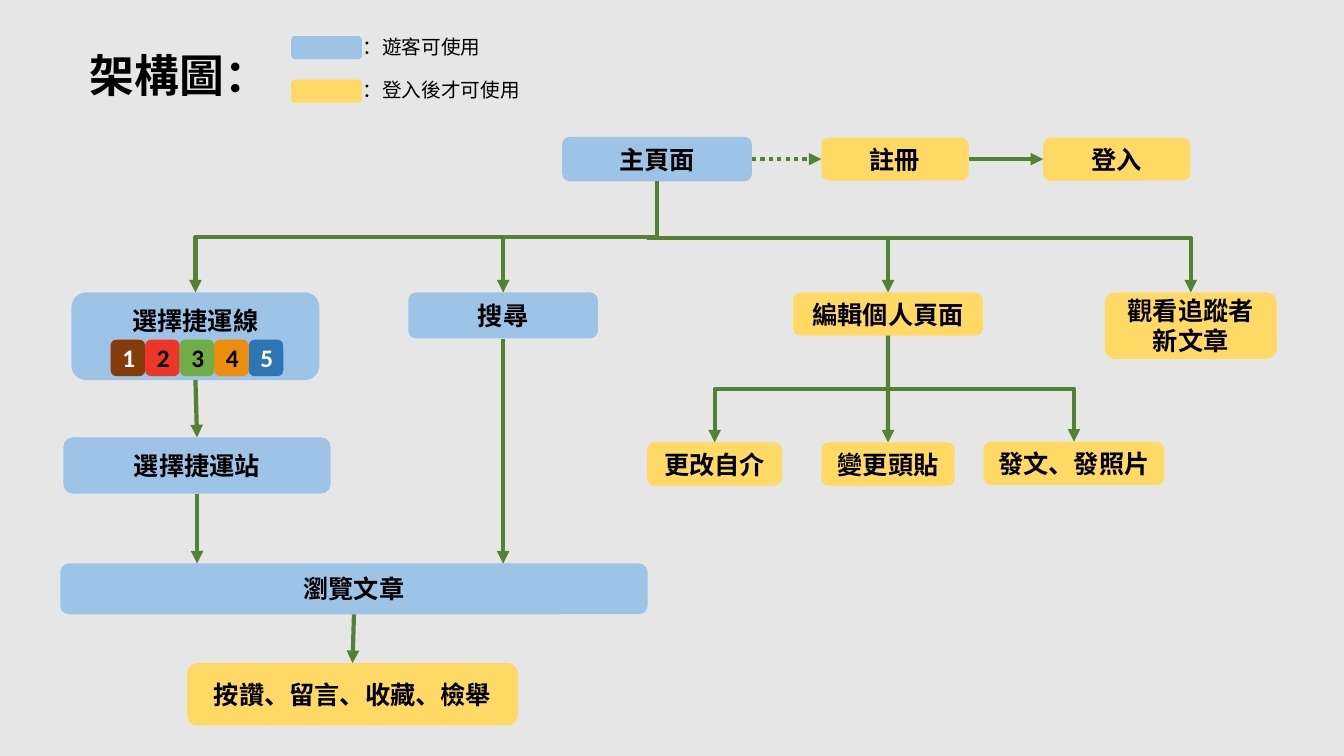
from lxml import etree
from pptx import Presentation
from pptx.dml.color import RGBColor
from pptx.enum.dml import MSO_LINE
from pptx.enum.shapes import MSO_CONNECTOR as Link, MSO_SHAPE as Preset
from pptx.enum.text import MSO_ANCHOR as Anchor, PP_ALIGN as Align
from pptx.oxml.ns import qn
from pptx.util import Cm, Pt

BACKGROUND = RGBColor(0xE7, 0xE6, 0xE6)
VISITOR = RGBColor(0x9D, 0xC3, 0xE6)
MEMBER = RGBColor(0xFF, 0xD9, 0x66)
ARROW = RGBColor(0x54, 0x82, 0x35)
BLACK = RGBColor(0, 0, 0)
WHITE = RGBColor(0xFF, 0xFF, 0xFF)
METRO_LINES = [
    (RGBColor(0x84, 0x3C, 0x0B), WHITE),
    (RGBColor(0xEC, 0x36, 0x28), BLACK),
    (RGBColor(0x70, 0xAD, 0x47), BLACK),
    (RGBColor(0xEC, 0x8D, 0x0E), BLACK),
    (RGBColor(0x2E, 0x75, 0xB6), WHITE),
]
FONT = "Calibri"
TOP, LEFT, BOTTOM, RIGHT = range(4)


def set_font(paragraph, size, bold, color=BLACK):
    font = paragraph.font
    font.name, font.size, font.bold = FONT, Pt(size), bold
    font.color.rgb = color


def add_block(slide, box, fill, text="", color=BLACK, preset=Preset.ROUNDED_RECTANGLE):
    shape = slide.shapes.add_shape(preset, *map(Cm, box))
    shape.shadow.inherit = False
    shape.fill.solid()
    shape.fill.fore_color.rgb = fill
    shape.line.fill.background()
    if text:
        frame = shape.text_frame
        frame.word_wrap = True
        frame.vertical_anchor = Anchor.MIDDLE
        paragraph = frame.paragraphs[0]
        paragraph.text = text
        paragraph.alignment = Align.CENTER
        set_font(paragraph, 18, True, color)
    return shape


def add_label(slide, box, text, size, bold=False):
    frame = slide.shapes.add_textbox(*map(Cm, box)).text_frame
    frame.word_wrap = False
    frame.text = text
    set_font(frame.paragraphs[0], size, bold)


def side_middle(shape, side):
    x = {LEFT: 0, RIGHT: shape.width}.get(side, shape.width // 2)
    y = {TOP: 0, BOTTOM: shape.height}.get(side, shape.height // 2)
    return shape.left + x, shape.top + y


def add_arrow(slide, begin, end, kind=Link.STRAIGHT, begin_side=BOTTOM, end_side=TOP):
    """Each end is a shape, joined at the given side, or an (x, y) point."""
    begin_point = begin if isinstance(begin, tuple) else side_middle(begin, begin_side)
    end_point = end if isinstance(end, tuple) else side_middle(end, end_side)
    connector = slide.shapes.add_connector(kind, *begin_point, *end_point)
    if not isinstance(begin, tuple):
        connector.begin_connect(begin, begin_side)
    if not isinstance(end, tuple):
        connector.end_connect(end, end_side)
    connector.line.color.rgb = ARROW
    connector.line.width = Pt(3)
    properties = connector._element.spPr
    etree.SubElement(properties.find(qn("a:ln")), qn("a:tailEnd"), type="triangle")
    etree.SubElement(properties, qn("a:effectLst"))
    return connector


def add_branch(slide, parent, child):
    """Elbow that leaves the parent downwards, so its frame is turned a quarter."""
    connector = add_arrow(slide, parent, child, Link.ELBOW)
    (x1, y1), (x2, y2) = side_middle(parent, BOTTOM), side_middle(child, TOP)
    drop, reach = y2 - y1, abs(x2 - x1)
    connector.left, connector.top = (x1 + x2 - drop) // 2, (y1 + y2 - reach) // 2
    connector.width, connector.height = drop, reach
    frame = connector._element.spPr.find(qn("a:xfrm"))
    to_right = x2 > x1
    frame.set("rot", str((270 if to_right else 90) * 60000))
    frame.set("flipH", "1" if to_right else "0")
    frame.set("flipV", "0")


def draw_heading(slide, left, top):
    add_label(slide, (left, top, 5.08, 1.63), "架構圖：", 32, True)
    # Legend
    entries = [(VISITOR, "：遊客可使用", 3.51), (MEMBER, "：登入後才可使用", 4.5)]
    for row, (fill, text, width) in enumerate(entries):
        y = top - 0.18 + row * 1.1
        add_block(slide, (left + 5.33, y, 1.78, 0.58), fill)
        add_label(slide, (left + 6.88, y - 0.16, width, 0.86), text, 14)


def draw_entry_row(slide, left, top):
    home = add_block(slide, (left, top, 4.78, 1.12), VISITOR, "主頁面")
    register = add_block(slide, (left + 6.53, top + 0.02, 3.71, 1.08), MEMBER, "註冊")
    login = add_block(slide, (left + 12.12, top + 0.02, 3.71, 1.08), MEMBER, "登入")
    optional = add_arrow(slide, home, register, begin_side=RIGHT, end_side=LEFT)
    optional.line.dash_style = MSO_LINE.ROUND_DOT
    add_arrow(slide, register, login, begin_side=RIGHT, end_side=LEFT)
    return home


def draw_line_picker(slide, left, top):
    picker = add_block(slide, (left, top, 6.25, 2.21), VISITOR, "選擇捷運線")
    picker.text_frame.margin_bottom = Cm(0.91)
    for index, (fill, color) in enumerate(METRO_LINES):
        box = (left + 0.99 + index * 0.87, top + 1.19, 0.87, 0.92)
        add_block(slide, box, fill, str(index + 1), color)
    return picker


def draw_visitor_flow(slide, left, top, home):
    picker = draw_line_picker(slide, left + 0.28, top)
    search = add_block(slide, (left + 8.77, top, 4.78, 1.16), VISITOR, "搜尋")
    station = add_block(slide, (left + 0.08, top + 3.65, 6.73, 1.42), VISITOR, "選擇捷運站")
    browse = add_block(slide, (left, top + 6.83, 14.8, 1.28), VISITOR, "瀏覽文章")
    actions = add_block(slide, (left + 3.2, top + 9.34, 8.33, 1.57), MEMBER,
                        "按讚、留言、收藏、檢舉")
    for child in (picker, search):
        add_branch(slide, home, child)
    add_arrow(slide, picker, station)
    # Both paths end on the upper edge of the article bar
    for source in (station, search):
        add_arrow(slide, source, (side_middle(source, BOTTOM)[0], browse.top))
    add_arrow(slide, browse, actions)


def draw_member_flow(slide, left, top):
    edit = add_block(slide, (left + 3.68, top, 4.78, 1.09), MEMBER, "編輯個人頁面")
    followers = add_block(slide, (left + 11.53, top, 4.34, 1.68), MEMBER, "觀看追蹤者新文章")
    bio = add_block(slide, (left, top + 3.78, 3.4, 1.09), MEMBER, "更改自介")
    avatar = add_block(slide, (left + 4.39, top + 3.78, 3.36, 1.09), MEMBER, "變更頭貼")
    post = add_block(slide, (left + 8.48, top + 3.76, 4.55, 1.09), MEMBER, "發文、發照片")
    # Feed from the home page
    feed_y = Cm(top - 1.38)
    feed = add_arrow(slide, (Cm(left), feed_y), followers, Link.ELBOW)
    feed._element.spPr.find(qn("a:prstGeom")).set("prst", "bentConnector2")
    add_arrow(slide, (side_middle(edit, TOP)[0], feed_y), edit)
    # Profile actions
    for child in (bio, post):
        add_branch(slide, edit, child)
    add_arrow(slide, edit, avatar)


def main():
    presentation = Presentation()
    presentation.slide_width, presentation.slide_height = Cm(33.87), Cm(19.05)
    slide = presentation.slides.add_slide(presentation.slide_layouts[6])
    add_block(slide, (0, 0, 33.87, 19.05), BACKGROUND, preset=Preset.RECTANGLE)
    draw_heading(slide, 2.01, 1.09)
    home = draw_entry_row(slide, 14.17, 3.45)
    draw_visitor_flow(slide, 1.52, 7.37, home)
    draw_member_flow(slide, 16.31, 7.37)
    presentation.save("out.pptx")


if __name__ == "__main__":
    main()
